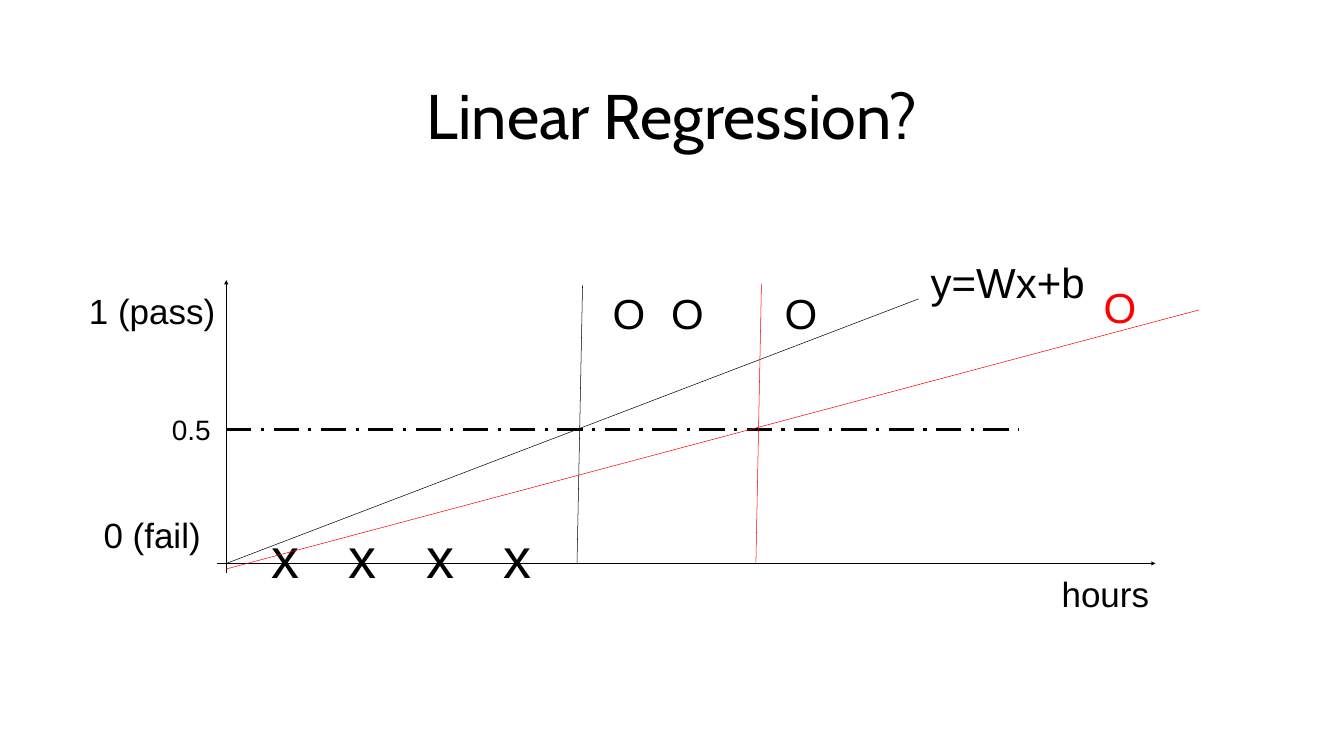
from dataclasses import dataclass

from lxml import etree
from pptx import Presentation, util as u
from pptx.dml.color import RGBColor
from pptx.enum import dml, shapes, text
from pptx.oxml import ns

COLORS = {"ink": "000000", "outlier": "FF0000", "paper": "FFFFFF"}
ROWS = 15
COLS = 26.67
CELL = u.Inches(1)
AXIS_X = 4.49
AXIS_Y = 11.18
HALF_Y = 8.52
PASS_Y = 5.66


@dataclass
class Label:
    words: str
    col: float
    row: float
    cols: float
    rows: float
    size: float
    color: str = "ink"
    font: str = "Arial"
    centered: bool = False


@dataclass
class Line:
    start: tuple[float, float]
    end: tuple[float, float]
    width: float = 0.75
    color: str = "ink"
    arrow: bool = False
    dash: dml.MSO_LINE | None = None


def cells(count: float) -> int:
    return round(count * CELL)


def rgb(name: str) -> RGBColor:
    return RGBColor.from_string(COLORS[name])


def draw_label(s, label: Label) -> None:
    sp = s.shapes.add_textbox(*map(cells, (label.col, label.row, label.cols, label.rows)))
    tf = sp.text_frame
    frame = {"word_wrap": False, "auto_size": text.MSO_AUTO_SIZE.SHAPE_TO_FIT_TEXT}
    if label.centered:
        frame = {"word_wrap": False, "auto_size": text.MSO_AUTO_SIZE.NONE,
                 "vertical_anchor": text.MSO_ANCHOR.MIDDLE}
        frame |= {f"margin_{side}": cells(0.08) for side in ("left", "right", "top", "bottom")}
    for name, value in frame.items():
        setattr(tf, name, value)
    p = tf.paragraphs[0]
    p.alignment = text.PP_ALIGN.CENTER if label.centered else text.PP_ALIGN.LEFT
    r = p.add_run()
    r.text = label.words
    for name, value in {"name": label.font, "size": u.Pt(label.size)}.items():
        setattr(r.font, name, value)
    r.font.color.rgb = rgb(label.color)


def draw_line(s, line: Line) -> None:
    sp = s.shapes.add_connector(
        shapes.MSO_CONNECTOR.STRAIGHT, *map(cells, (*line.start, *line.end)))
    sp.line.width = u.Pt(line.width)
    sp.line.color.rgb = rgb(line.color)
    if line.dash:
        sp.line.dash_style = line.dash
    if line.arrow:
        etree.SubElement(sp.line._get_or_add_ln(), ns.qn("a:tailEnd"), type="triangle")
    etree.SubElement(sp._element.spPr, ns.qn("a:effectLst"))


AXES = [
    Line((4.3, AXIS_Y), (22.93, AXIS_Y), 2, arrow=True),
    Line((AXIS_X, 11.37), (AXIS_X, 5.56), 2, arrow=True),
]
CAPTIONS = [
    Label("Linear Regression?", 4.02, 0.39, 18.63, 3.75, 90, font="Cabin", centered=True),
    Label("hours", 20.98, 11.29, 1.91, 0.99, 50, centered=True),
    Label("1 (pass)", 1.66, PASS_Y, 2.72, 0.99, 50, centered=True),
    Label("0 (fail)", 1.97, 10.11, 2.1, 0.99, 50, centered=True),
    Label("0.5", 3.31, 8.13, 0.98, 0.77, 40),
    Label("y=Wx+b", 18.37, 5.04, 3.29, 1.11, 60),
]
FAILS = [Label("x", 5.28 + 1.54 * i, 10.31, 0.76, 1.45, 80) for i in range(4)]
PASSES = [Label("O", col, PASS_Y, 0.86, 1.11, 60) for col in (12.06, 13.22, 15.47)]
OUTLIER = Label("O", 21.8, 5.54, 0.86, 1.11, 60, "outlier")
FITS = [
    Line((AXIS_X, HALF_Y), (20.22, HALF_Y), 4.5, dash=dml.MSO_LINE.LONG_DASH_DOT),
    Line((AXIS_X, AXIS_Y), (18.23, 5.93)),
    Line((11.45, 11.19), (11.56, PASS_Y)),
    Line((AXIS_X, 11.29), (23.79, 6.15), color="outlier"),
    Line((15, 11.16), (15.11, 5.63), color="outlier"),
]


def main() -> None:
    prs = Presentation()
    prs.slide_width, prs.slide_height = cells(COLS), cells(ROWS)
    s = prs.slides.add_slide(prs.slide_layouts[6])
    s.background.fill.solid()
    s.background.fill.fore_color.rgb = rgb("paper")
    for axis in AXES:
        draw_line(s, axis)
    for label in [*CAPTIONS, *FAILS, *PASSES, OUTLIER]:
        draw_label(s, label)
    for fit in FITS:
        draw_line(s, fit)
    prs.save("out.pptx")


if __name__ == "__main__":
    main()
